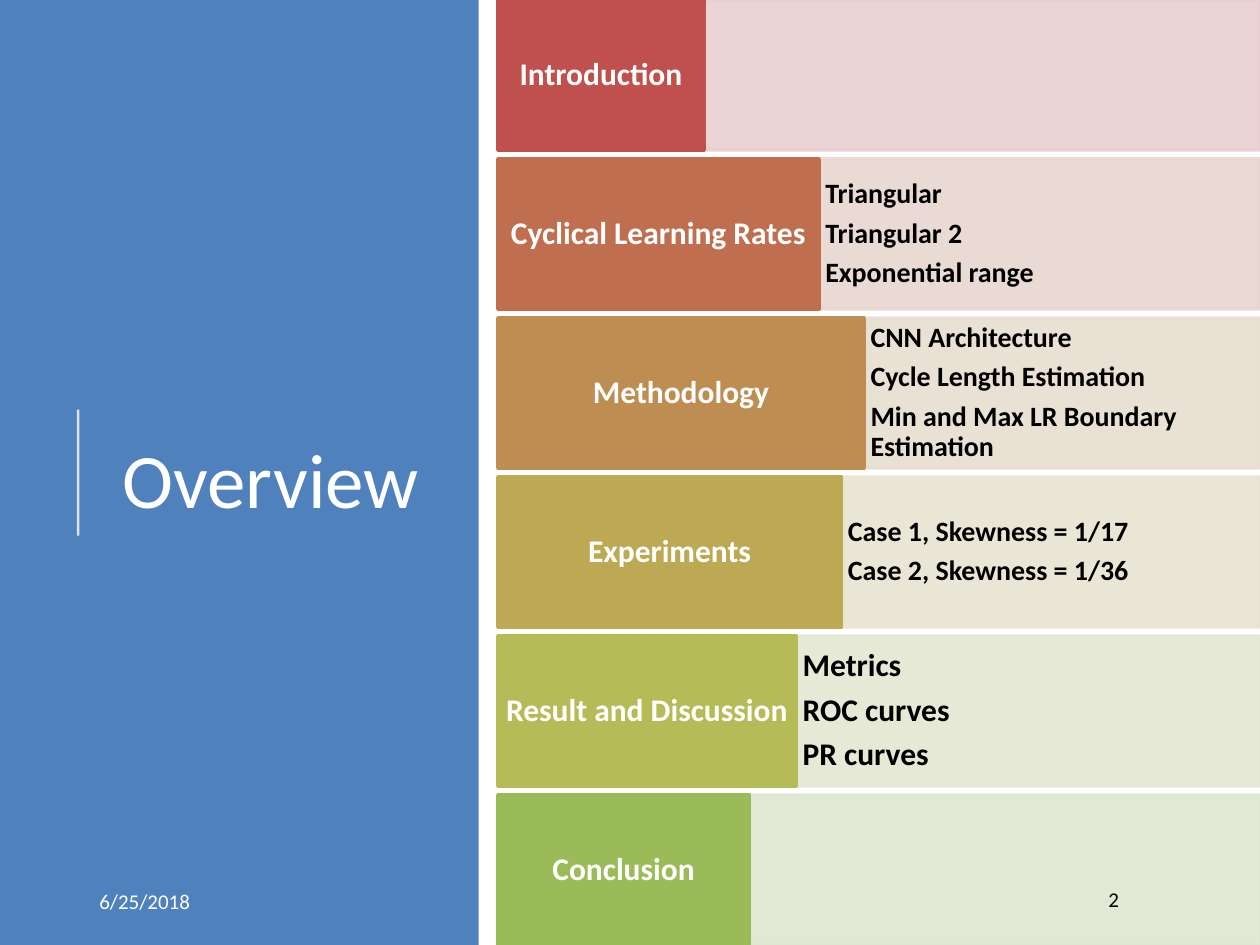
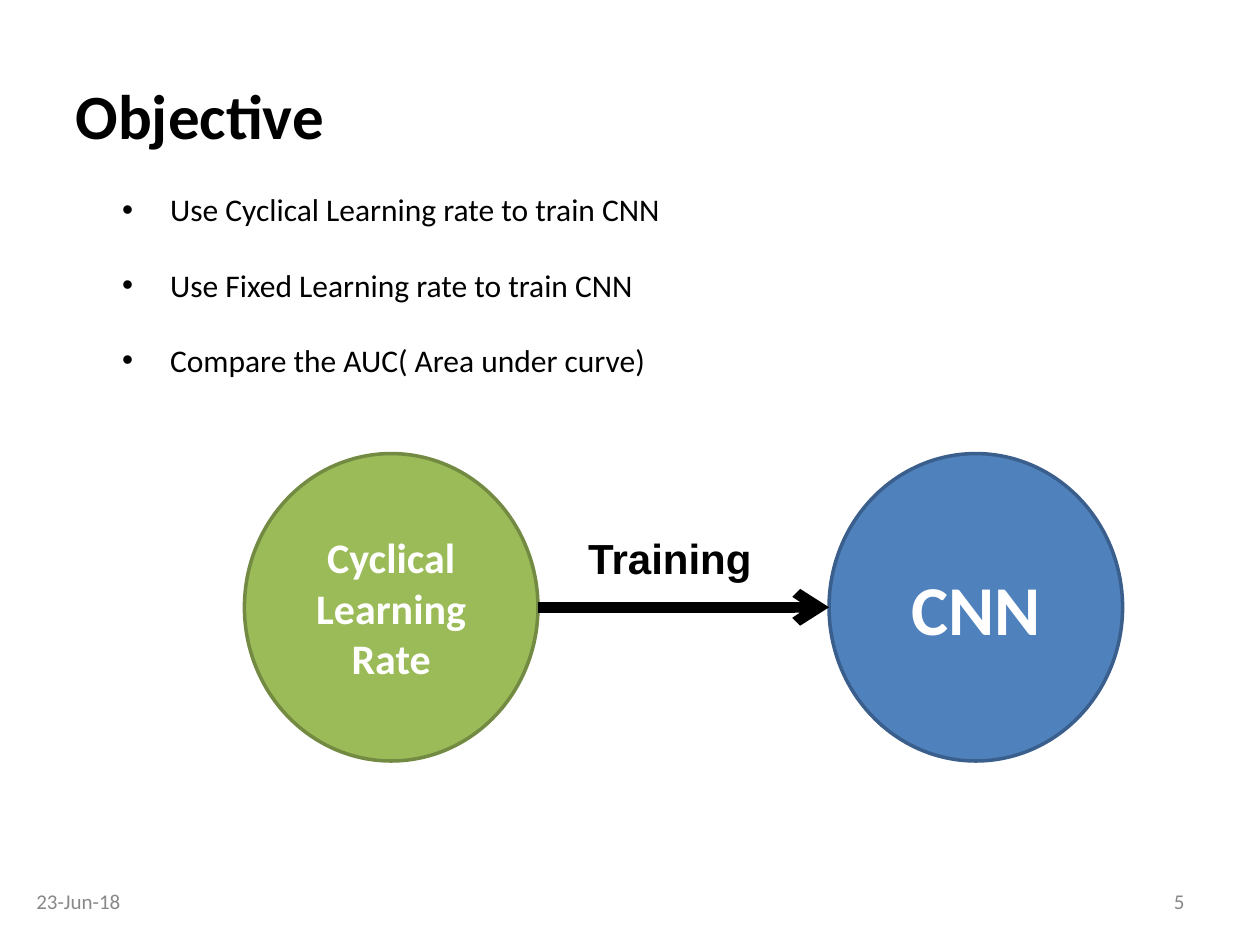
"""Build the overview and objective slides of a talk on cyclical learning rates."""
import pptx
import pptx.dml.color
import pptx.enum.shapes
import pptx.enum.text
import pptx.oxml
import pptx.oxml.ns
import pptx.util

Inches, Pt = pptx.util.Inches, pptx.util.Pt
Shape = pptx.enum.shapes.MSO_SHAPE
Align = pptx.enum.text.PP_ALIGN
Anchor = pptx.enum.text.MSO_ANCHOR
qn = pptx.oxml.ns.qn

BLUE, GREEN, WHITE, BLACK, GREY = "4F81BD", "9BBB59", "FFFFFF", "000000", "888888"
MIDDLE = {"word_wrap": True, "vertical_anchor": Anchor.MIDDLE,
          "auto_size": pptx.enum.text.MSO_AUTO_SIZE.NONE}
TOP = {**MIDDLE, "vertical_anchor": Anchor.TOP}
TIGHT = {**MIDDLE, **{f"margin_{side}": Inches(0.05)
                      for side in ("left", "right", "top", "bottom")}}


def paint(fill, tint, alpha=100):
    """Fill with a hex colour, as a percentage of opacity."""
    fill.solid()
    fill.fore_color.rgb = pptx.dml.color.RGBColor.from_string(tint)
    if alpha < 100:
        for node in fill.fore_color._xFill.iter(qn("a:srgbClr")):
            node.makeelement(qn("a:alpha"), {})
            pptx.oxml.ns.nsdecls("a")
            node.append(pptx.oxml.parse_xml(
                f'<a:alpha {pptx.oxml.ns.nsdecls("a")} val="{alpha * 1000}"/>'))


def write(shape, lines, size, tint, bold=False, face="Calibri", frame=MIDDLE, **para):
    """Put lines of text in a shape with frame, paragraph and font formats."""
    text = shape.text_frame
    text.text = "\n".join(lines)
    for name, value in frame.items():
        setattr(text, name, value)
    for par in text.paragraphs:
        for name, value in {"alignment": Align.LEFT, **para}.items():
            setattr(par, name, value)
        for run in par.runs:
            for name, value in {"size": Pt(size), "bold": bold, "name": face}.items():
                setattr(run.font, name, value)
            paint(run.font.fill, tint)


deck = pptx.Presentation()
deck.slide_width, deck.slide_height = Inches(10), Inches(7.5)

over = deck.slides.add_slide(deck.slide_layouts[5])
goal = deck.slides.add_slide(deck.slide_layouts[1])

titles = [
    (over, "Overview", (0.77, 0.78, 2.76, 6.02), 44, WHITE, False, Align.CENTER),
    (goal, "Objective", (0.5, 0.28, 9, 1.25), 36, BLACK, True, Align.LEFT),
]
for slide, words, spot, size, tint, bold, side in titles:
    title = slide.shapes.title
    title.left, title.top, title.width, title.height = map(Inches, spot)
    write(title, [words], size, tint, bold, alignment=side)

panel = over.shapes.add_shape(Shape.RECTANGLE, 0, 0, Inches(3.8), Inches(7.5))
panel.shadow.inherit = False
paint(panel.fill, BLUE)
panel.line.fill.background()
over.shapes.title.element.addprevious(panel.element)

rows = [
    ("Introduction", 1.64, "C0504D", "E8D0D0", 16, []),
    ("Cyclical Learning Rates", 2.55, "BF6F4F", "E8D7D0", 16,
     ["Triangular", "Triangular 2", "Exponential range"]),
    ("Methodology", 2.91, "BE8D52", "E8DED1", 16,
     ["CNN Architecture", "Cycle Length Estimation",
      "Min and Max LR Boundary Estimation"]),
    ("Experiments", 2.73, "BDA954", "E8E4D1", 16,
     ["Case 1, Skewness = 1/17", "Case 2, Skewness = 1/36"]),
    ("Result and Discussion", 2.37, "B5BC57", "E4E7D1", 18,
     ["Metrics", "ROC curves", "PR curves"]),
    ("Conclusion", 2, GREEN, "DEE7D1", 16, []),
]
LEFT, HIGH = 3.95, 1.19
STEP = (7.5 - HIGH) / (len(rows) - 1)
for index, (label, wide, dark, pale, size, points) in enumerate(rows):
    split = LEFT + wide
    cells = [
        (split, 10 - split, pale, 90, points, size, BLACK, Align.LEFT),
        (LEFT, wide, dark, 100, [label], 18, WHITE, Align.CENTER),
    ]
    for left, width, tint, alpha, lines, points_size, ink, side in cells:
        cell = over.shapes.add_shape(Shape.RECTANGLE, Inches(left), Inches(index * STEP),
                                     Inches(width), Inches(HIGH))
        cell.shadow.inherit = False
        paint(cell.fill, tint, alpha)
        paint(cell.line.fill, tint, alpha)
        cell.line.width = Pt(2)
        if lines:
            write(cell, lines, points_size, ink, True, frame=TIGHT, alignment=side,
                  line_spacing=0.9, space_after=Pt(points_size / 3))

circles = [
    (6.58, "CNN", 40, BLUE, "3A5F8C"),
    (1.94, "Cyclical Learning Rate", 24, GREEN, "738A42"),
]
for left, words, size, tint, edge in circles:
    disc = goal.shapes.add_shape(Shape.OVAL, Inches(left), Inches(3.6),
                                 Inches(2.33), Inches(2.44))
    disc.shadow.inherit = False
    paint(disc.fill, tint)
    paint(disc.line.fill, edge)
    disc.line.width = Pt(2)
    write(disc, [words], size, WHITE, True, alignment=Align.CENTER)

ns = pptx.oxml.ns.nsdecls("a")
strokes = [
    (over, (0.62, 4.25, 0.62, 3.25), WHITE, 1.5, 80, False),
    (goal, (4.27, 4.82, 6.58, 4.82), BLACK, 6, 100, True),
]
for slide, ends, tint, width, alpha, head in strokes:
    line = slide.shapes.add_connector(pptx.enum.shapes.MSO_CONNECTOR.STRAIGHT,
                                      *map(Inches, ends))
    paint(line.line.fill, tint, alpha)
    line.line.width = Pt(width)
    props = line.element.spPr
    if head:
        props.find(qn("a:ln")).append(pptx.oxml.parse_xml(f'<a:tailEnd {ns} type="arrow"/>'))
    props.append(pptx.oxml.parse_xml(f"<a:effectLst {ns}/>"))

train = goal.shapes.add_textbox(Inches(4.57), Inches(4.18), Inches(1.71), Inches(0.5))
write(train, ["Training"], 24, BLACK, True, "Arial", TOP)

body = goal.placeholders[1]
body.left, body.top, body.width, body.height = map(Inches, (0.87, 1.46, 8.04, 1.62))
aims = ["Use Cyclical Learning rate to train CNN",
        "Use Fixed Learning rate to train CNN",
        "Compare the AUC( Area under curve)"]
write(body, aims, 18, BLACK, frame=TOP, space_before=Pt(0), space_after=Pt(21.5))
for par in body.text_frame.paragraphs:
    props = par._p.get_or_add_pPr()
    props.set("marL", str(Inches(0.38)))
    props.set("indent", str(-Inches(0.38)))

notes = [
    (over, "6/25/2018", 0.69, 2.25, WHITE, Align.LEFT),
    (goal, "23-Jun-18", 0.19, 2.33, GREY, Align.LEFT),
    (goal, "5", 7.17, 2.33, GREY, Align.RIGHT),
]
for slide, words, left, width, tint, side in notes:
    foot = slide.shapes.add_textbox(Inches(left), Inches(6.95), Inches(width), Inches(0.4))
    write(foot, [words], 12, tint, alignment=side)

page = over.shapes.add_shape(Shape.OVAL, Inches(7.06), Inches(6.95), Inches(2.25), Inches(0.4))
page.shadow.inherit = False
page.fill.background()
page.line.fill.background()
write(page, ["2"], 12, BLACK, alignment=Align.RIGHT, line_spacing=0.9)

deck.save("out.pptx")
